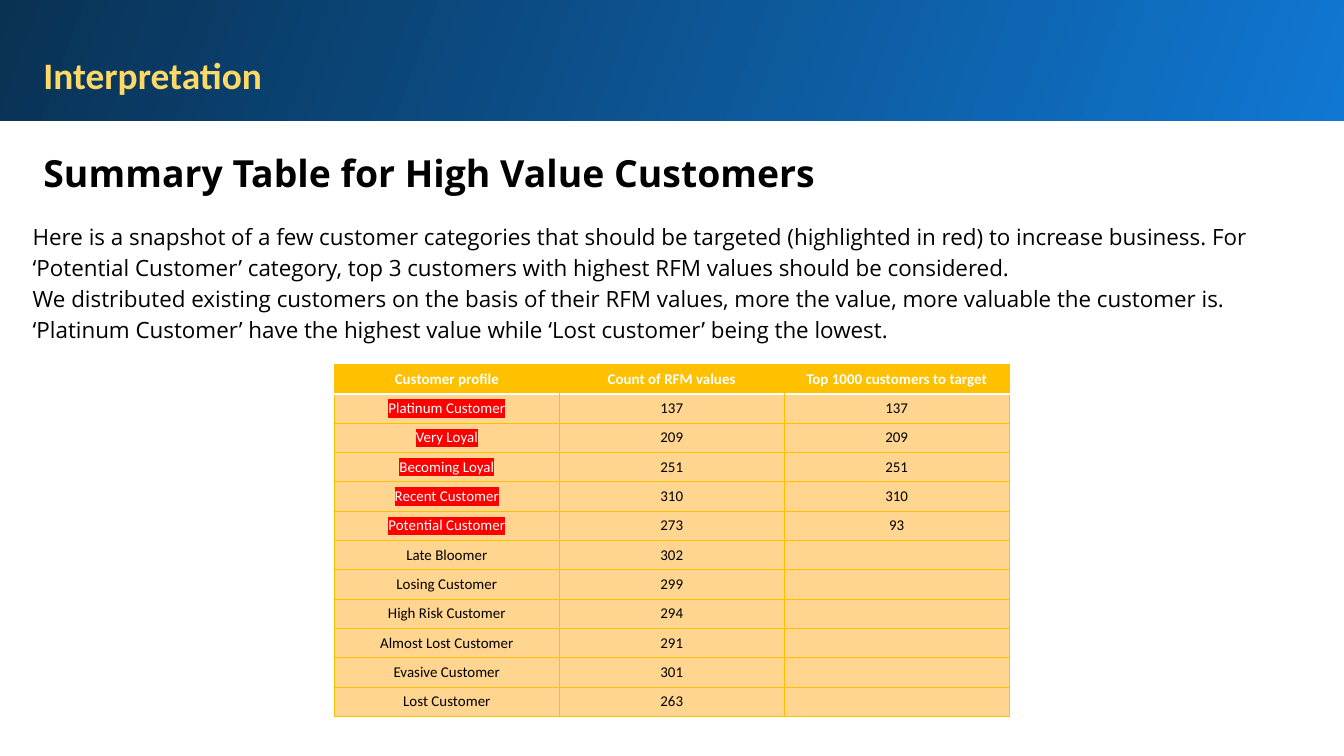
from lxml import etree
from pptx import Presentation
from pptx.dml.color import RGBColor
from pptx.enum.shapes import MSO_SHAPE
from pptx.enum.text import MSO_ANCHOR, PP_ALIGN
from pptx.oxml.ns import qn
from pptx.util import Inches, Pt

RECT = MSO_SHAPE.RECTANGLE
MIDDLE = MSO_ANCHOR.MIDDLE
CENTER = PP_ALIGN.CENTER

THEME = dict(
    bright="1077D2", navy="093153", gold="FFD966", amber="FFC000",
    sand="FFD58F", red="FF0000", black="000000", white="FFFFFF",
    title=Pt(20), body=Pt(12), cell=Pt(8), sans="Open Sans", table="Calibri",
)

prs = Presentation()
prs.slide_width = Inches(10)
prs.slide_height = prs.slide_width * 9 // 16
COL, ROW = prs.slide_width / 100, prs.slide_height / 100
s = prs.slides.add_slide(prs.slide_layouts[6])


def box(x, y, w, h):
    return round(x * COL), round(y * ROW), round(w * COL), round(h * ROW)


def add_run(p, text, color, **font):
    r = p.add_run()
    r.text = text
    for name, value in font.items():
        setattr(r.font, name, value)
    r.font.color.rgb = RGBColor.from_string(THEME[color])
    return r


banner = s.shapes.add_shape(RECT, *box(-0.2, -0.36, 100.2, 16.36))
banner.shadow.inherit = False
banner.line.fill.background()
banner.fill.gradient()
banner.fill.gradient_angle = 160
for stop, color in zip(banner.fill.gradient_stops, ("bright", "navy")):
    stop.color.rgb = RGBColor.from_string(THEME[color])

heading = dict(size=THEME["title"], bold=True)
texts = [
    (box(2.25, 5.16, 93.7, 9.6), 1, "gold", dict(heading, name=THEME["table"]),
     ["Interpretation"]),
    (box(2.25, 17.24, 93.7, 9.96), 1.15, "black", dict(heading, name=THEME["sans"]),
     ["Summary Table for High Value Customers"]),
    (box(1.45, 27.2, 96.9, 19.9), 1.15, "black",
     dict(size=THEME["body"], name=THEME["sans"]),
     ["Here is a snapshot of a few customer categories that should be targeted "
      "(highlighted in red) to increase business. For ‘Potential Customer’ category, "
      "top 3 customers with highest RFM values should be considered. ",
      "We distributed existing customers on the basis of their RFM values, more the "
      "value, more valuable the customer is. ‘Platinum Customer’ have the highest "
      "value while ‘Lost customer’ being the lowest."]),
]
for place, spacing, color, font, paragraphs in texts:
    tf = s.shapes.add_textbox(*place).text_frame
    tf.word_wrap = True
    for side in ("left", "right", "top", "bottom"):
        setattr(tf, f"margin_{side}", Inches(0.1))
    for i, text in enumerate(paragraphs):
        p = tf.add_paragraph() if i else tf.paragraphs[0]
        p.line_spacing = spacing
        add_run(p, text, color, **font)

rows = [
    ("Customer profile", "Count of RFM values", "Top 1000 customers to target"),
    ("Platinum Customer", "137", "137"),
    ("Very Loyal", "209", "209"),
    ("Becoming Loyal", "251", "251"),
    ("Recent Customer", "310", "310"),
    ("Potential Customer", "273", "93"),
    ("Late Bloomer", "302", ""),
    ("Losing Customer", "299", ""),
    ("High Risk Customer", "294", ""),
    ("Almost Lost Customer", "291", ""),
    ("Evasive Customer", "301", ""),
    ("Lost Customer", "263", ""),
]
TARGETED = range(1, 6)
place = box(24.88, 48.22, 3 * 16.74, len(rows) * 3.88)
table = s.shapes.add_table(len(rows), 3, *place).table
for row in table.rows:
    row.height = round(3.88 * ROW)
for column in table.columns:
    column.width = round(16.74 * COL)

for i, values in enumerate(rows):
    for j, text in enumerate(values):
        cell = table.cell(i, j)
        header, targeted = i == 0, i in TARGETED and j == 0
        layout = dict(vertical_anchor=MIDDLE, margin_left=0, margin_right=0,
                      margin_top=0, margin_bottom=0)
        for name, value in layout.items():
            setattr(cell, name, value)

        tc_pr = cell._tc.get_or_add_tcPr()
        for side in "LRTB":
            divider = (header and side == "B") or (i == 1 and side == "T")
            hidden = header and ((side == "L" and j > 0) or (side == "R" and j < 2))
            ln = etree.SubElement(tc_pr, qn(f"a:ln{side}"),
                                  w=str(Pt(1) if divider else Pt(0.5)))
            if hidden:
                etree.SubElement(ln, qn("a:noFill"))
            else:
                fill = etree.SubElement(ln, qn("a:solidFill"))
                etree.SubElement(fill, qn("a:srgbClr"),
                                 val=THEME["white" if divider else "amber"])
        cell.fill.solid()
        cell.fill.fore_color.rgb = RGBColor.from_string(
            THEME["amber" if header else "sand"])

        p = cell.text_frame.paragraphs[0]
        p.alignment = CENTER
        if not text:
            p._p.get_or_add_endParaRPr().set("sz", str(int(THEME["cell"].pt * 100)))
            continue
        r = add_run(p, text, "white" if header or targeted else "black",
                    size=THEME["cell"], name=THEME["table"], bold=header)
        if targeted:
            highlight = etree.Element(qn("a:highlight"))
            etree.SubElement(highlight, qn("a:srgbClr"), val=THEME["red"])
            r._r.rPr.find(qn("a:solidFill")).addnext(highlight)

prs.save("out.pptx")
